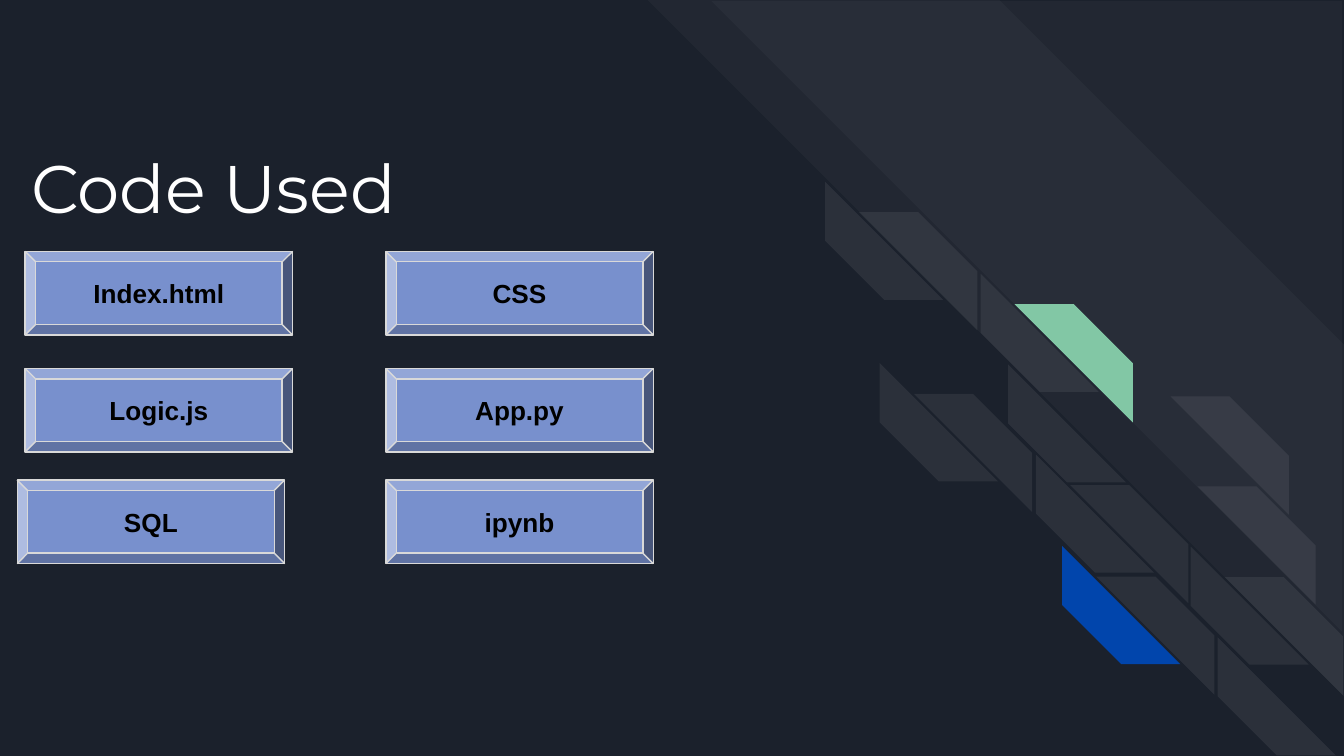
from lxml.etree import SubElement
from pptx import Presentation
from pptx.dml.color import RGBColor
from pptx.enum.shapes import MSO_SHAPE as Shape
from pptx.enum.text import MSO_ANCHOR as Anchor, PP_ALIGN as Align, MSO_AUTO_SIZE as Auto
from pptx.oxml.ns import qn
from pptx.util import Pt

NAVY, WHITE, BLACK = "1B212C", "FFFFFF", "000000"
GREEN, BLUE, STEEL, GREY = "82C7A5", "0145AC", "7890CD", "D9D9D9"

TITLE = "Code Used"
# left edge of the first cell, then the labels of the row
ROWS = [
    (13.5, 134.7, ["Index.html", "CSS"]),
    (13.5, 197.4, ["Logic.js", "App.py"]),
    (9.2, 257.2, ["SQL", "ipynb"]),
]
RIGHT, WIDE, HIGH = 206.7, 143.3, 44.8

# left, top, size, inner edge
BANDS = [(347, 0, 373, 0.495), (381, 0.5, 338, 0)]
# left, top, colour of the lower brick, colour of the upper brick
PAIRS = [
    (442, 97.3, WHITE, WHITE),
    (471.3, 194.6, WHITE, WHITE),
    (525.3, 146.6, WHITE, GREEN),
    (540, 195.2, WHITE, None),
    (608.8, 196, None, WHITE),
    (623.2, 244.2, None, WHITE),
    (555, 243.5, WHITE, WHITE),
    (569, 292.5, BLUE, WHITE),
    (637.8, 292.8, WHITE, WHITE),
    (652.3, 341.4, WHITE, None),
]
BRICK, STEP_X, STEP_Y = 63.3, 18.3, 16.4


def paint(fill, color, alpha=100):
    """Solid fill, with opacity in percent."""
    fill.solid()
    fill.fore_color.rgb = RGBColor.from_string(color)
    if alpha < 100:
        node = fill._xPr.find(".//" + qn("a:srgbClr"))
        SubElement(node, qn("a:alpha")).set("val", str(alpha * 1000))


def style(par, font, size, color, align, bold=False):
    par.alignment = align
    par.font.name, par.font.size, par.font.bold = font, Pt(size), bold
    paint(par.font.fill, color)


def inset(frame):
    frame.margin_left = frame.margin_right = Pt(7.2)
    frame.margin_top = frame.margin_bottom = Pt(7.2)


def add(kind, x, y, w, h, color, alpha=100):
    shape = slide.shapes.add_shape(kind, Pt(x), Pt(y), Pt(w), Pt(h))
    shape.shadow.inherit = False
    paint(shape.fill, color, alpha)
    shape.line.fill.background()
    return shape


def stripe(x, y, size, edge, turn, color, alpha):
    shape = add(Shape.DIAGONAL_STRIPE, x, y, size, size, color, alpha)
    shape.adjustments[0] = edge
    shape.rotation = turn


def button(x, y, label):
    shape = add(Shape.BEVEL, x, y, WIDE, HIGH, STEEL)
    shape.adjustments[0] = 0.125
    paint(shape.line.fill, GREY)
    shape.line.width = Pt(0.75)
    frame = shape.text_frame
    inset(frame)
    frame.vertical_anchor = Anchor.MIDDLE
    frame.text = label
    style(frame.paragraphs[0], "Arial", 14, BLACK, Align.CENTER, True)


deck = Presentation()
deck.slide_width, deck.slide_height = Pt(720), Pt(405)
slide = deck.slides.add_slide(deck.slide_layouts[5])
paint(slide.background.fill, NAVY)

for x, y, size, edge in BANDS:
    stripe(x, y, size, edge, 90, WHITE, 3)
for x, y, low, high in PAIRS:
    for color, turn, n in ((low, 270, 0), (high, 90, 1)):
        if color:
            alpha = 7 if color == WHITE else 100
            stripe(x + n * STEP_X, y + n * STEP_Y, BRICK, 0.5, turn, color, alpha)

title = slide.shapes.title
title.left, title.top, title.width, title.height = Pt(9.4), Pt(71.3), Pt(374.4), Pt(54.7)
frame = title.text_frame
frame.text = TITLE
frame.auto_size = Auto.NONE
frame.vertical_anchor = Anchor.TOP
inset(frame)
style(frame.paragraphs[0], "Montserrat", 36, WHITE, Align.LEFT)

for left, top, labels in ROWS:
    for x, label in zip((left, RIGHT), labels):
        button(x, top, label)

deck.save("out.pptx")
